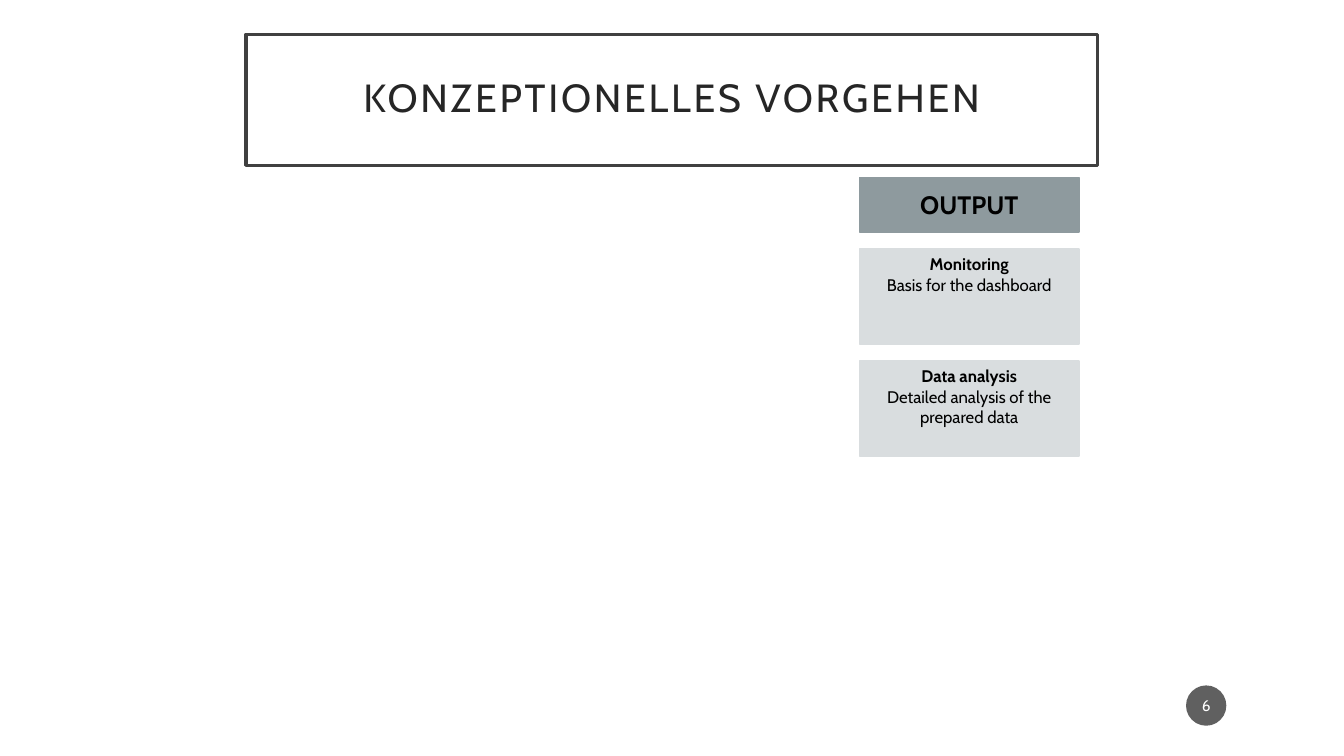
from pptx import Presentation
from pptx.dml.color import RGBColor
from pptx.enum.shapes import MSO_SHAPE as Kind
from pptx.enum.text import MSO_ANCHOR as Anchor, PP_ALIGN as Align
from pptx.oxml.ns import qn
from pptx.util import Pt
from lxml.etree import SubElement

FONT = "Cabin"


def color(code):
    return RGBColor.from_string(code)


def block(slide, box, fill, line=None, width=1, kind=Kind.RECTANGLE, alpha=None):
    shape = slide.shapes.add_shape(kind, *[Pt(n) for n in box])
    shape.shadow.inherit = False
    shape.fill.solid()
    shape.fill.fore_color.rgb = color(fill)
    if alpha is not None:
        tint = shape.fill._xPr.find(qn("a:solidFill"))[0]
        SubElement(tint, qn("a:alpha"), val=str(alpha * 1000))
    if line:
        shape.line.color.rgb = color(line)
        shape.line.width = Pt(width)
    else:
        shape.line.fill.background()
    return shape


def write(shape, text, size=12, ink="000000", bold=False, anchor=Anchor.MIDDLE,
          inset=(7.2, 3.6), space=None, track=None):
    """Each line of text is a paragraph; bold covers the first one only."""
    frame = shape.text_frame
    frame.word_wrap = True
    frame.vertical_anchor = anchor
    frame.margin_left = frame.margin_right = Pt(inset[0])
    frame.margin_top = frame.margin_bottom = Pt(inset[1])
    frame.text = text
    for i, para in enumerate(frame.paragraphs):
        para.alignment = Align.CENTER
        if space:
            para.line_spacing = space
        font = para.runs[0].font
        font.name, font.size = FONT, Pt(size)
        font.bold = bold and i == 0
        font.color.rgb = color(ink)
        if track:
            font._element.set("spc", str(track * 100))


def title(slide, box, text):
    frame = block(slide, box, "FFFFFF", line="404040", width=2.5)
    write(frame, text, size=28, ink="262626", inset=(14.4, 14.4),
          space=0.9, track=2)


def badge(slide, box, text):
    disc = block(slide, box, "1D1D1D", kind=Kind.OVAL, alpha=70)
    write(disc, text, size=11, ink="FFFFFF", inset=(1.44, 3.6))


def column(slide, box, head, cards):
    left, top, width, height = box
    bar, gap = 39, 12.3
    # Heading
    label = block(slide, (left, top, width, bar), "8E9A9E", line="8E9A9E")
    write(label, head, size=18, bold=True)
    # Cards share the height below the heading
    step = (height - bar) / len(cards)
    for i, text in enumerate(cards):
        y = top + bar + gap + i * step
        card = block(slide, (left, y, width, step - gap), "D9DDDF", line="D9DDDF")
        write(card, text, bold=True, anchor=Anchor.TOP)


def main():
    deck = Presentation()
    deck.slide_width, deck.slide_height = Pt(960), Pt(540)
    slide = deck.slides.add_slide(deck.slide_layouts[6])
    title(slide, (175.7, 24.5, 608.4, 93.6), "KONZEPTIONELLES VORGEHEN")
    column(slide, (614, 126.7, 156.6, 199), "OUTPUT", [
        "Monitoring\nBasis for the dashboard",
        "Data analysis\nDetailed analysis of the prepared data",
    ])
    badge(slide, (847.2, 489.6, 28.8, 28.8), "6")
    deck.save("out.pptx")


if __name__ == "__main__":
    main()
